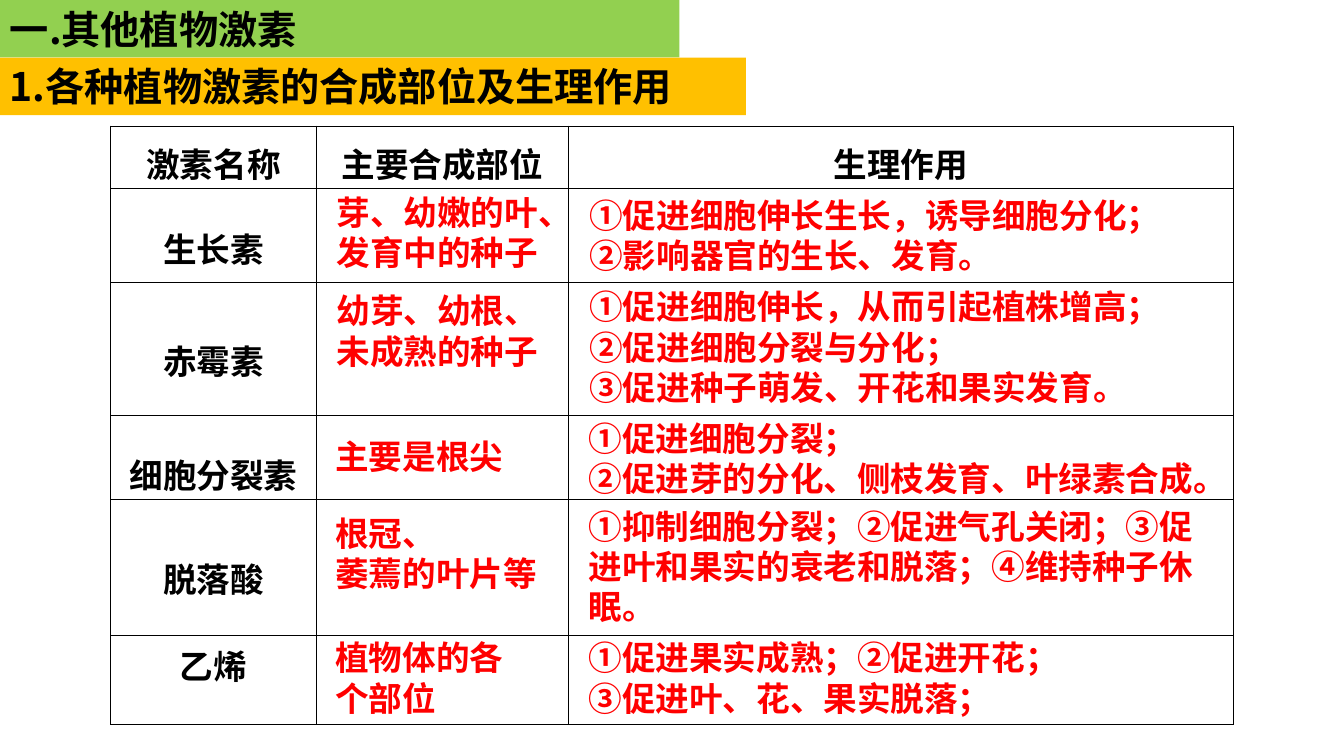
import pptx
import pptx.util
import pptx.dml.color
import pptx.enum.text
import pptx.enum.shapes
import pptx.oxml.ns
from lxml import etree

Cm, Pt = pptx.util.Cm, pptx.util.Pt
RGB = pptx.dml.color.RGBColor.from_string
Fit = pptx.enum.text.MSO_AUTO_SIZE
Align = pptx.enum.text.PP_ALIGN
qn = pptx.oxml.ns.qn

# Content: banners are (text, width, fill)
banners = [
    ("一.其他植物激素", 17.12, "green"),
    ("1.各种植物激素的合成部位及生理作用", 18.8, "gold"),
]
# Table rows are (texts, row height, top inset)
rows = [
    (["激素名称", "主要合成部位", "生理作用"], 1.57, 0.32),
    (["生长素"], 2.36, 0.87),
    (["赤霉素"], 3.35, 1.35),
    (["细胞分裂素"], 2.13, 0.88),
    (["脱落酸"], 3.43, 1.35),
    (["乙烯"], 2.24, 0.13),
]
# Notes are (left, top, width, line count, paragraphs)
sites = [
    (8.23, 4.7, 6.4, 2, ["芽、幼嫩的叶、发育中的种子"]),
    (8.23, 7.19, 5.92, 2, ["幼芽、幼根、未成熟的种子"]),
    (8.2, 10.85, 5.31, 1, ["主要是根尖"]),
    (8.2, 12.8, 5.97, 2, ["根冠、", "萎蔫的叶片等"]),
    (8.2, 15.93, 5.31, 2, ["植物体的各个部位"]),
]
effects = [
    (14.6, 4.78, 16.48, 2, ["①促进细胞伸长生长，诱导细胞分化；", "②影响器官的生长、发育。"]),
    (14.6, 7.09, 16.48, 3, ["①促进细胞伸长，从而引起植株增高；", "②促进细胞分裂与分化；",
                            "③促进种子萌发、开花和果实发育。"]),
    (14.58, 10.41, 16.97, 2, ["①促进细胞分裂；", "②促进芽的分化、侧枝发育、叶绿素合成。"]),
    (14.58, 12.62, 16.21, 3,
     ["①抑制细胞分裂；②促进气孔关闭；③促进叶和果实的衰老和脱落；④维持种子休眠。"]),
    (14.58, 15.93, 15.19, 2, ["①促进果实成熟；②促进开花；", "③促进叶、花、果实脱落；"]),
]
cols = [5.18, 6.35, 16.76]
origin = (2.79, 3.18)
banner_high = 1.45
line_high, pad = 1.03, 0.25

theme = {
    "font": "Noto Sans CJK SC", "title": 28, "body": 24, "rule": 1,
    "black": "000000", "red": "FF0000", "green": "92D050", "gold": "FFC000",
}


def put(para, text, size, color, **form):
    run = para.add_run()
    run.text = text
    style = {"name": theme["font"], "size": Pt(theme[size]), "bold": True}
    for key, val in style.items():
        setattr(run.font, key, val)
    run.font.color.rgb = RGB(theme[color])
    etree.SubElement(run.font._element, qn("a:ea"), typeface=theme["font"])
    for key, val in form.items():
        setattr(para, key, val)


def frame(cell):
    props = cell._tc.get_or_add_tcPr()
    for side in ("lnL", "lnR", "lnT", "lnB"):
        line = etree.SubElement(props, qn("a:" + side), w=str(Pt(theme["rule"])))
        fill = etree.SubElement(line, qn("a:solidFill"))
        etree.SubElement(fill, qn("a:srgbClr"), val=theme["black"])
    cell.fill.background()


deck = pptx.Presentation()
deck.slide_width, deck.slide_height = Cm(33.87), Cm(19.05)
slide = deck.slides.add_slide(deck.slide_layouts[6])
shapes = slide.shapes

# Banners
for i, (text, wide, color) in enumerate(banners):
    bar = shapes.add_shape(pptx.enum.shapes.MSO_SHAPE.RECTANGLE, Cm(0),
                           Cm(i * banner_high), Cm(wide), Cm(banner_high))
    bar.shadow.inherit = False
    bar.fill.solid()
    bar.fill.fore_color.rgb = RGB(theme[color])
    bar.line.fill.background()
    put(bar.text_frame.paragraphs[0], text, "title", "black", alignment=Align.LEFT)

# Table: insets place each line without stretching its row
grid = shapes.add_table(len(rows), len(cols), *map(Cm, origin), Cm(sum(cols)),
                        Cm(sum(high for _, high, _ in rows))).table
grid.first_row = grid.horz_banding = False
for col, wide in zip(grid.columns, cols):
    col.width = Cm(wide)
for cell in grid.iter_cells():
    frame(cell)
for r, (texts, high, inset) in enumerate(rows):
    grid.rows[r].height = Cm(high)
    for c, text in enumerate(texts):
        cell = grid.cell(r, c)
        for key, val in {"margin_top": Cm(inset), "margin_bottom": Cm(0)}.items():
            setattr(cell, key, val)
        put(cell.text_frame.paragraphs[0], text, "body", "black",
            alignment=Align.CENTER)

# Red notes over the table
for left, top, wide, lines, texts in sites + effects:
    high = pad + lines * line_high
    body = shapes.add_textbox(Cm(left), Cm(top), Cm(wide), Cm(high)).text_frame
    for key, val in {"word_wrap": True, "auto_size": Fit.SHAPE_TO_FIT_TEXT}.items():
        setattr(body, key, val)
    for i, text in enumerate(texts):
        para = body.add_paragraph() if i else body.paragraphs[0]
        put(para, text, "body", "red")

deck.save("out.pptx")
